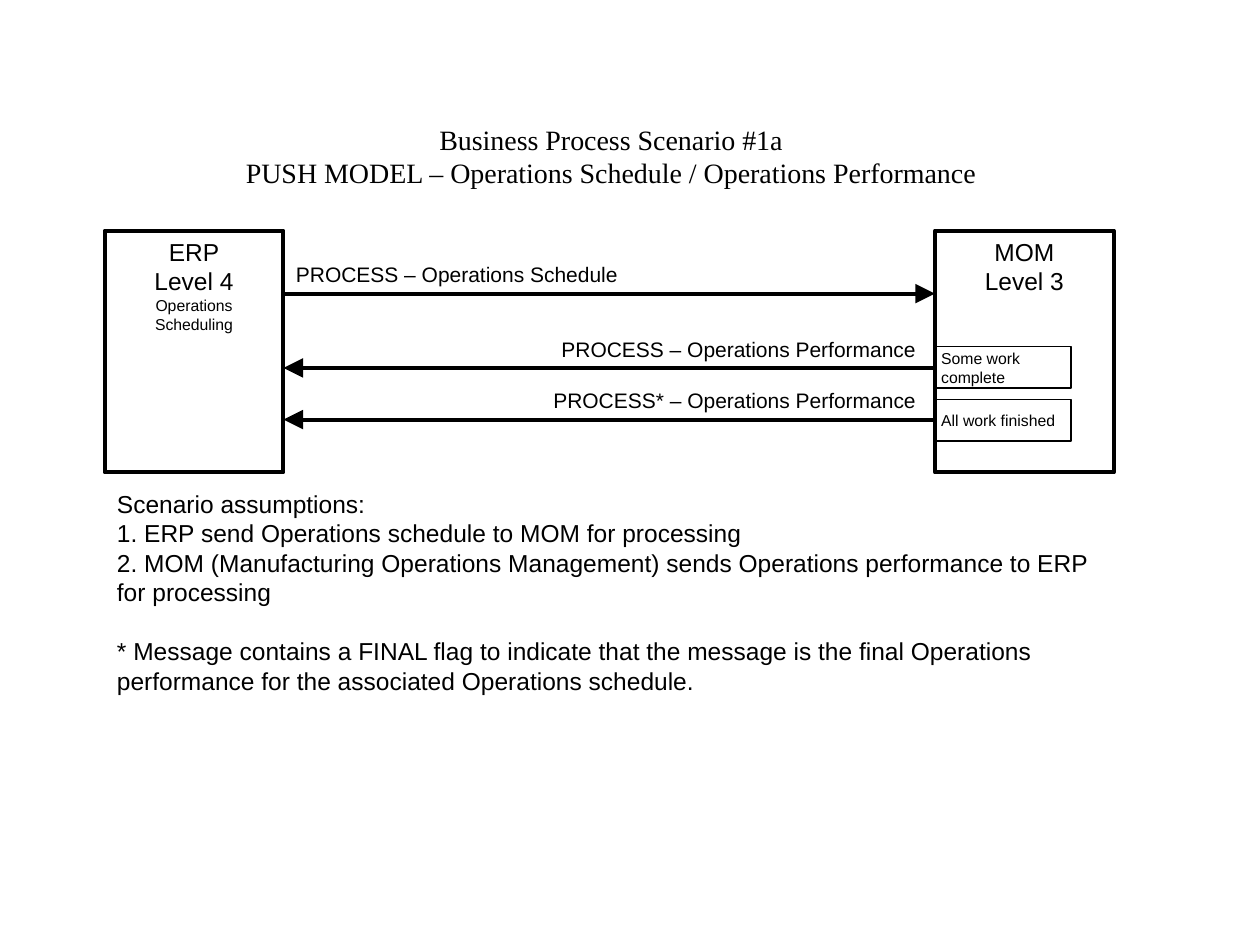
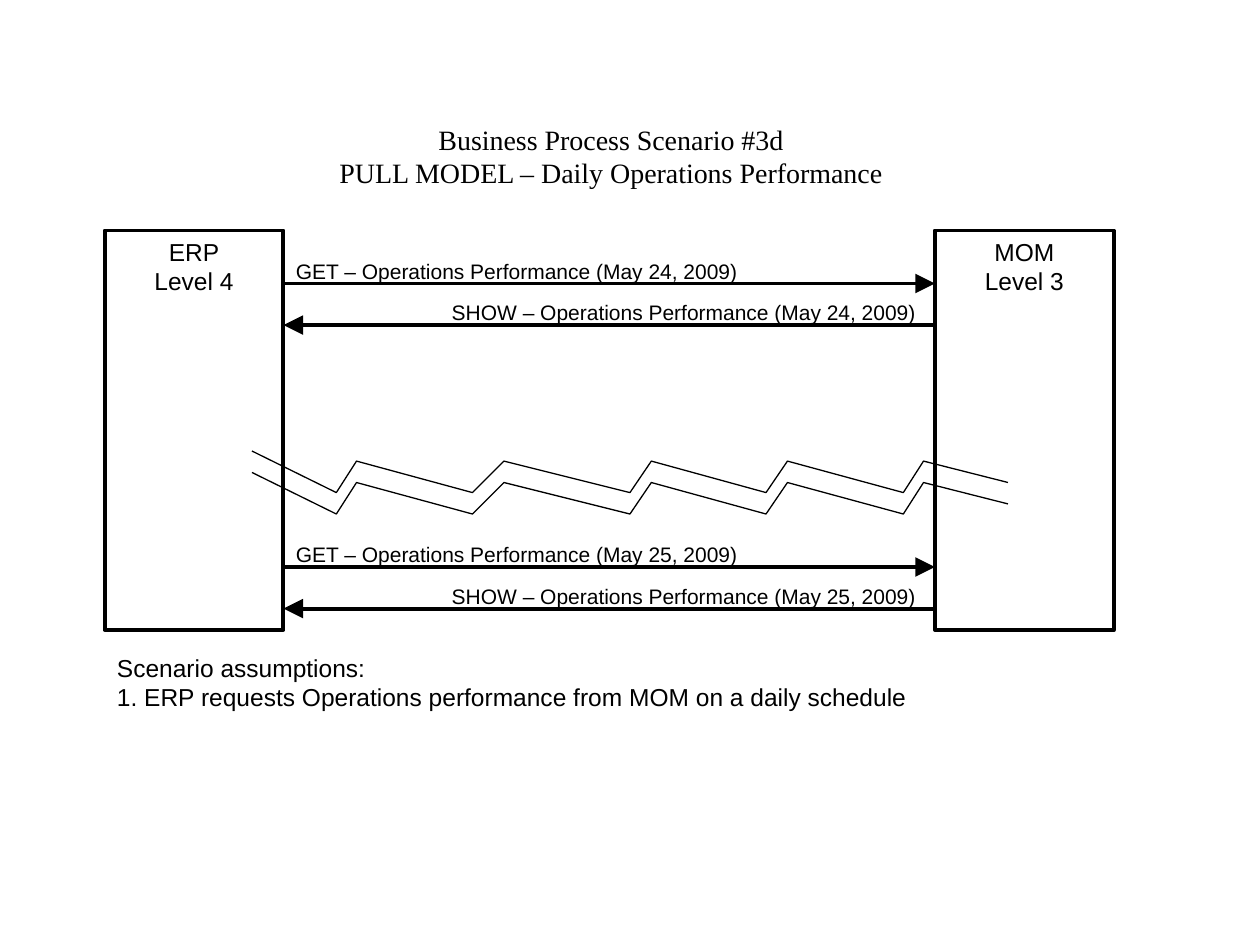
"""Two message-flow scenarios between an ERP system and a MOM system."""
from lxml import etree
from pptx import Presentation
from pptx.dml.color import RGBColor
from pptx.enum import shapes, text
from pptx.oxml import ns
from pptx.util import Inches, Pt

COLORS = {"ink": "000000", "paper": "FFFFFF"}
BODY_FONT, TITLE_FONT = "Arial", "Times New Roman"
THICK, THIN = 2.24, 0.74

SYSTEM_TOP, SYSTEM_WIDTH = 1.83, 1.42
ERP_LEFT, MOM_LEFT = 0.83, 7.42
ERP_RIGHT = ERP_LEFT + SYSTEM_WIDTH
LABEL_RIGHT, LABEL_HEIGHT = 7.37, 0.3
TITLE_CENTER = 4.85

LEFT, CENTER, RIGHT = (text.PP_ALIGN.LEFT, text.PP_ALIGN.CENTER,
                       text.PP_ALIGN.RIGHT)
TOP, MIDDLE = text.MSO_ANCHOR.TOP, text.MSO_ANCHOR.MIDDLE

BREAK_POINTS = [(2, 0), (2.67, 0.33), (2.83, 0.08), (3.75, 0.33), (4, 0.08),
                (5, 0.33), (5.17, 0.08), (6.08, 0.33), (6.25, 0.08),
                (7.17, 0.33), (7.33, 0.08), (8, 0.25)]


def color(name):
    """Return the named colour."""
    return RGBColor.from_string(COLORS[name])


def place(*values):
    """Turn numbers in inches into lengths."""
    return [Inches(value) for value in values]


def write(shape, lines, size, align=LEFT, font=BODY_FONT, anchor=TOP,
          wrap=True):
    """Fill a shape with one paragraph per line."""
    frame = shape.text_frame
    frame.text = "\n".join(lines)
    frame.word_wrap = wrap
    frame.vertical_anchor = anchor
    for paragraph in frame.paragraphs:
        paragraph.alignment = align
        for run in paragraph.runs:
            run.font.size = Pt(size)
            run.font.name = font
            run.font.color.rgb = color("ink")
    return frame


def add_text(slide, box, lines, size, **style):
    """Add a text box."""
    return write(slide.shapes.add_textbox(*place(*box)), lines, size, **style)


def add_title(slide, lines, width):
    """Add the two-line scenario title, centred over the diagram."""
    box = (TITLE_CENTER - width / 2, 0.92, width, 0.64)
    frame = add_text(slide, box, lines, 16, align=CENTER, font=TITLE_FONT,
                     wrap=False)
    frame.auto_size = text.MSO_AUTO_SIZE.SHAPE_TO_FIT_TEXT


def add_box(slide, box, weight, filled=False):
    """Add an outlined rectangle."""
    rect = slide.shapes.add_shape(shapes.MSO_SHAPE.RECTANGLE, *place(*box))
    rect.shadow.inherit = False
    if filled:
        rect.fill.solid()
        rect.fill.fore_color.rgb = color("paper")
    else:
        rect.fill.background()
    rect.line.color.rgb = color("ink")
    rect.line.width = Pt(weight)
    return rect


def add_systems(slide, height, filled=False, erp_activity=None):
    """Add the ERP and MOM boxes at both ends of the messages."""
    for left, lines, activity in [(ERP_LEFT, ["ERP", "Level 4"], erp_activity),
                                  (MOM_LEFT, ["MOM", "Level 3"], None)]:
        system = add_box(slide, (left, SYSTEM_TOP, SYSTEM_WIDTH, height),
                         THICK, filled)
        if activity:
            lines = lines + [activity]
        frame = write(system, lines, 14, align=CENTER)
        if activity:
            frame.paragraphs[-1].runs[0].font.size = Pt(9)


def add_message(slide, y, label, label_top, label_width, to_mom):
    """Add a message arrow between the systems, with its label."""
    arrow = slide.shapes.add_connector(
        shapes.MSO_CONNECTOR.STRAIGHT, *place(ERP_RIGHT, y, MOM_LEFT, y))
    arrow.line.color.rgb = color("ink")
    arrow.line.width = Pt(THICK)
    end = "a:tailEnd" if to_mom else "a:headEnd"
    etree.SubElement(arrow.line._get_or_add_ln(), ns.qn(end),
                     type="triangle", w="lg", len="lg")
    etree.SubElement(arrow._element.spPr, ns.qn("a:effectLst"))

    left = ERP_RIGHT if to_mom else LABEL_RIGHT - label_width
    add_text(slide, (left, label_top, label_width, LABEL_HEIGHT),
             [label], 12, align=LEFT if to_mom else RIGHT)


def add_status(slide, top, lines):
    """Add a work status box inside the MOM system."""
    status = add_box(slide, (MOM_LEFT, top, 1.08, 0.33), THIN)
    frame = write(status, lines, 9, anchor=MIDDLE, wrap=False)
    frame.margin_left = frame.margin_right = Inches(0.05)


def add_time_break(slide, top):
    """Add one zigzag line that marks a gap in time."""
    points = [place(x, top + drop) for x, drop in BREAK_POINTS]
    builder = slide.shapes.build_freeform(*points[0])
    builder.add_line_segments(points[1:], close=False)
    zigzag = builder.convert_to_shape()
    zigzag.shadow.inherit = False
    zigzag.fill.background()
    zigzag.line.color.rgb = color("ink")
    zigzag.line.width = Pt(THIN)


def build_push_scenario(slide):
    """Draw the push model: ERP sends a schedule, MOM reports back."""
    add_title(slide, ["Business Process Scenario #1a",
                      "PUSH MODEL – Operations Schedule / "
                      "Operations Performance"], 6)
    add_systems(slide, 1.92, erp_activity="Operations Scheduling")
    for y, label, width, to_mom in [
            (2.33, "PROCESS – Operations Schedule", 2.85, True),
            (2.92, "PROCESS – Operations Performance", 3.1, False),
            (3.33, "PROCESS* – Operations Performance", 3.15, False)]:
        add_message(slide, y, label, y - 0.3, width, to_mom)
    add_status(slide, 2.75, ["Some work", "complete"])
    add_status(slide, 3.17, ["All work finished"])
    assumptions = add_text(slide, (ERP_LEFT, 3.83, 8, 1.75), [
        "Scenario assumptions:",
        "1. ERP send Operations schedule to MOM for processing",
        "2. MOM (Manufacturing Operations Management) sends Operations "
        "performance to ERP for processing",
        "* Message contains a FINAL flag to indicate that the message is the "
        "final Operations performance for the associated Operations "
        "schedule."], 14)
    assumptions.paragraphs[-1].space_before = Pt(17)


def build_pull_scenario(slide):
    """Draw the pull model: ERP asks for performance every day."""
    add_title(slide, ["Business Process Scenario #3d",
                      "PULL MODEL – Daily Operations Performance"], 4.53)
    add_systems(slide, 3.17, filled=True)
    for day, y in [(24, 2.25), (25, 4.5)]:
        subject = f"Operations Performance (May {day}, 2009)"
        add_message(slide, y, f"GET – {subject}", y - 0.25, 3.8, True)
        add_message(slide, y + 0.33, f"SHOW – {subject}", y + 0.08, 4,
                    False)
    for top in (3.58, 3.75):
        add_time_break(slide, top)
    add_text(slide, (ERP_LEFT, 5.08, 8, 0.67), [
        "Scenario assumptions:",
        "1. ERP requests Operations performance from MOM on a daily "
        "schedule"], 14, anchor=MIDDLE)


def main():
    """Build and save both scenario slides."""
    deck = Presentation()
    deck.slide_width, deck.slide_height = Inches(10), Inches(7.5)
    for build in (build_push_scenario, build_pull_scenario):
        build(deck.slides.add_slide(deck.slide_layouts[6]))
    deck.save("out.pptx")


main()
